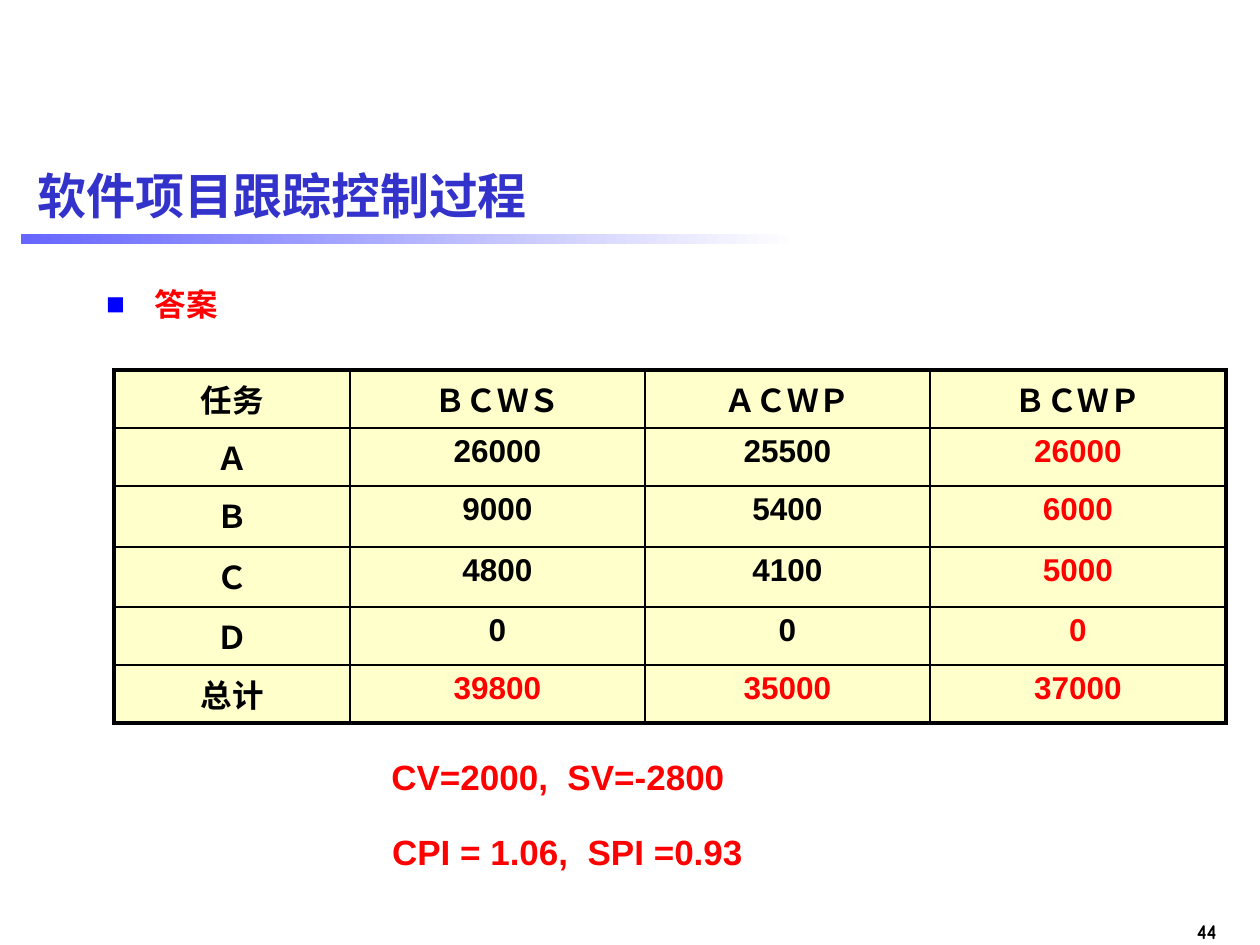
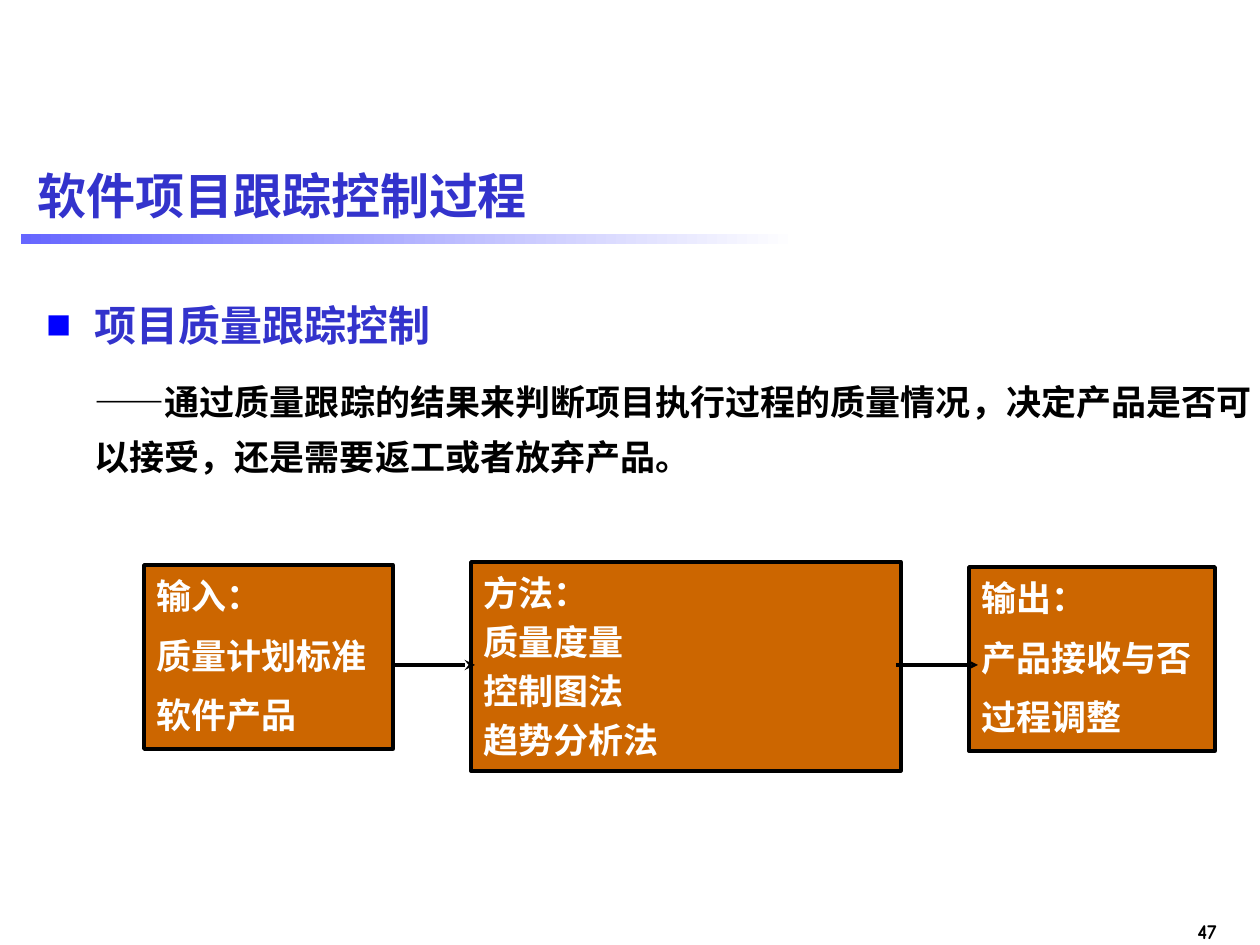
import pptx
import pptx.dml.color
import pptx.enum.dml
import pptx.enum.shapes
import pptx.enum.text
import pptx.oxml
import pptx.oxml.ns
import pptx.util
from lxml import etree

EMU_PER_PX = 914400 / 126
LATIN, CJK, NUMERAL = "Arial", "Noto Sans CJK SC", "Comic Neue"
COLORS = {
    "title": "3333CC", "bullet": "0000FF", "answer": "FF0000", "text": "000000",
    "band_start": "6666FF", "band_end": "FFFFFF", "cell": "FFFFCC",
    "step": "CC6600", "step_text": "FFFFFF",
}
ALIGN = pptx.enum.text.PP_ALIGN
HEADING = "软件项目跟踪控制过程"


def px(length):
    return pptx.util.Emu(round(length * EMU_PER_PX))


def rgb(name):
    return pptx.dml.color.RGBColor.from_string(COLORS[name])


def add_xml(parent, tag, **attributes):
    return etree.SubElement(parent, pptx.oxml.ns.qn(tag), attributes)


class Deck:
    """Shared style and the slide being built."""

    def __init__(self):
        self.presentation = pptx.Presentation()
        self.presentation.slide_width = px(1260)
        self.presentation.slide_height = px(945)
        self.slide = None

    def start_slide(self, number):
        self.slide = self.presentation.slides.add_slide(self.presentation.slide_layouts[1])
        self.band()
        title = self.place(self.slide.shapes.title, 25, 145, 1211, 100)
        title.vertical_anchor = pptx.enum.text.MSO_ANCHOR.MIDDLE
        self.add_text(title, HEADING, 28, "title")
        page = self.text_box(1159, 912, 70, 38)
        page.word_wrap = False
        self.add_text(page, number, 12, "text", font=NUMERAL, align=ALIGN.RIGHT)

    def band(self):
        band = self.slide.shapes.add_shape(
            pptx.enum.shapes.MSO_SHAPE.RECTANGLE, px(21), px(234), px(777), px(10))
        band.shadow.inherit = False
        band.line.fill.background()
        band.fill.gradient()
        band.fill.gradient_angle = 0
        for stop, position, color in zip(
                band.fill.gradient_stops, (0, 1), ("band_start", "band_end")):
            stop.position = position
            stop.color.rgb = rgb(color)

    def place(self, placeholder, left, top, width, height):
        placeholder.left, placeholder.top = px(left), px(top)
        placeholder.width, placeholder.height = px(width), px(height)
        frame = placeholder.text_frame
        frame.auto_size = pptx.enum.text.MSO_AUTO_SIZE.NONE
        return frame

    def body(self, left, top, width, height):
        frame = self.place(self.slide.placeholders[1], left, top, width, height)
        frame.margin_right = 0
        return frame

    def text_box(self, left, top, width, height):
        frame = self.slide.shapes.add_textbox(
            px(left), px(top), px(width), px(height)).text_frame
        frame.word_wrap = True
        return frame

    def add_text(self, frame, text, size, color, font=LATIN, align=ALIGN.LEFT,
                 spacing=None, before=0, indent=0, bullet=False):
        """Fill the empty first paragraph, or append another one."""
        paragraph = frame.paragraphs[0]
        if paragraph.runs:
            paragraph = frame.add_paragraph()
        paragraph.add_run().text = text
        properties = paragraph._p.get_or_add_pPr()
        properties.set("marL", str(px(indent)))
        properties.set("indent", str(px(-indent if bullet else 0)))
        if bullet:
            add_xml(add_xml(properties, "a:buClr"), "a:srgbClr", val=COLORS["bullet"])
            add_xml(properties, "a:buSzPct", val="60000")
            add_xml(properties, "a:buFont", typeface=CJK)
            add_xml(properties, "a:buChar", char="■")
        else:
            add_xml(properties, "a:buNone")
        paragraph.alignment = align
        paragraph.space_before = pptx.util.Pt(before)
        if spacing:
            paragraph.line_spacing = spacing
        paragraph.font.size = pptx.util.Pt(size)
        paragraph.font.bold = True
        paragraph.font.color.rgb = rgb(color)
        paragraph.font.name = font
        add_xml(properties.find(pptx.oxml.ns.qn("a:defRPr")), "a:ea", typeface=CJK)

    def table(self, left, top, widths, heights, rows, is_result):
        table = self.slide.shapes.add_table(
            len(heights), len(widths), px(left), px(top),
            px(sum(widths)), px(sum(heights))).table
        for column, width in zip(table.columns, widths):
            column.width = px(width)
        for row, height in zip(table.rows, heights):
            row.height = px(height)
        last_row, last_column = len(heights) - 1, len(widths) - 1
        for r, values in enumerate(rows):
            for c, value in enumerate(values):
                cell = table.cell(r, c)
                outer = {"a:lnL": c == 0, "a:lnR": c == last_column,
                         "a:lnT": r == 0, "a:lnB": r == last_row}
                self.cell_borders(cell, outer)
                cell.fill.solid()
                cell.fill.fore_color.rgb = rgb("cell")
                color = "answer" if is_result(r, c) else "text"
                self.add_text(cell.text_frame, value, 18, color, align=ALIGN.CENTER)

    def cell_borders(self, cell, outer):
        properties = cell._tc.get_or_add_tcPr()
        for side, is_outer in outer.items():
            width = pptx.util.Pt(2.25 if is_outer else 1)
            line = add_xml(properties, side, w=str(width))
            add_xml(add_xml(line, "a:solidFill"), "a:srgbClr", val=COLORS["text"])

    def step(self, left, top, width, height, lines, before):
        step = self.slide.shapes.add_shape(
            pptx.enum.shapes.MSO_SHAPE.RECTANGLE, px(left), px(top), px(width), px(height))
        step.shadow.inherit = False
        step.fill.solid()
        step.fill.fore_color.rgb = rgb("step")
        step.line.color.rgb = rgb("text")
        step.line.width = pptx.util.Pt(2)
        step.text_frame.vertical_anchor = pptx.enum.text.MSO_ANCHOR.TOP
        for i, line in enumerate(lines):
            self.add_text(step.text_frame, line, 20, "step_text", font=CJK,
                          spacing=pptx.util.Pt(26), before=before if i else 0)

    def arrow(self, start, end, y):
        arrow = self.slide.shapes.add_connector(
            pptx.enum.shapes.MSO_CONNECTOR.STRAIGHT, px(start), px(y), px(end), px(y))
        arrow.line.color.rgb = rgb("text")
        arrow.line.width = pptx.util.Pt(2)
        add_xml(arrow.line._get_or_add_ln(), "a:tailEnd", type="stealth")
        add_xml(arrow._element.spPr, "a:effectLst")


def earned_value_answer(deck):
    deck.start_slide("44")
    answer = deck.body(94, 279, 1132, 80)
    deck.add_text(answer, "答案", 18, "answer", font=CJK, indent=48, bullet=True)

    rows = [
        ("任务", "ＢＣＷＳ", "ＡＣＷＰ", "ＢＣＷＰ"),
        ("Ａ", "26000", "25500", "26000"),
        ("Ｂ", "9000", "5400", "6000"),
        ("Ｃ", "4800", "4100", "5000"),
        ("Ｄ", "0", "0", "0"),
        ("总计", "39800", "35000", "37000"),
    ]
    deck.table(114, 370, (236, 295, 285, 296), (58, 58, 61, 60, 58, 58), rows,
               lambda r, c: r > 0 and c == 3 or r == 5 and c > 0)

    indices = deck.text_box(243, 743, 630, 130)
    indices.margin_left = indices.margin_right = 0
    indices.margin_top = indices.margin_bottom = 0
    deck.add_text(indices, "CV=2000,  SV=-2800", 20, "answer",
                  align=ALIGN.CENTER, spacing=1.3)
    deck.add_text(indices, "CPI = 1.06,  SPI =0.93", 20, "answer",
                  align=ALIGN.CENTER, spacing=1.3, before=11.5, indent=19)


def quality_tracking(deck):
    deck.start_slide("47")
    quality = deck.body(34, 275, 1226, 220)
    deck.add_text(quality, "项目质量跟踪控制", 24, "title",
                  spacing=pptx.util.Pt(39), indent=48, bullet=True)
    deck.add_text(quality,
                  "——通过质量跟踪的结果来判断项目执行过程的质量情况，"
                  "决定产品是否可以接受，还是需要返工或者放弃产品。",
                  20, "text", spacing=pptx.util.Pt(31.5), before=10, indent=48)

    deck.step(471, 562, 430, 209, ("方法：", "质量度量", "控制图法", "趋势分析法"), 2)
    deck.step(144, 565, 249, 184, ("输入：", "质量计划标准", "软件产品"), 8)
    deck.step(969, 567, 246, 184, ("输出：", "产品接收与否", "过程调整"), 8)
    for start in (393, 896):
        deck.arrow(start, start + 82, 665)


def main():
    deck = Deck()
    earned_value_answer(deck)
    quality_tracking(deck)
    deck.presentation.save("out.pptx")


if __name__ == "__main__":
    main()
